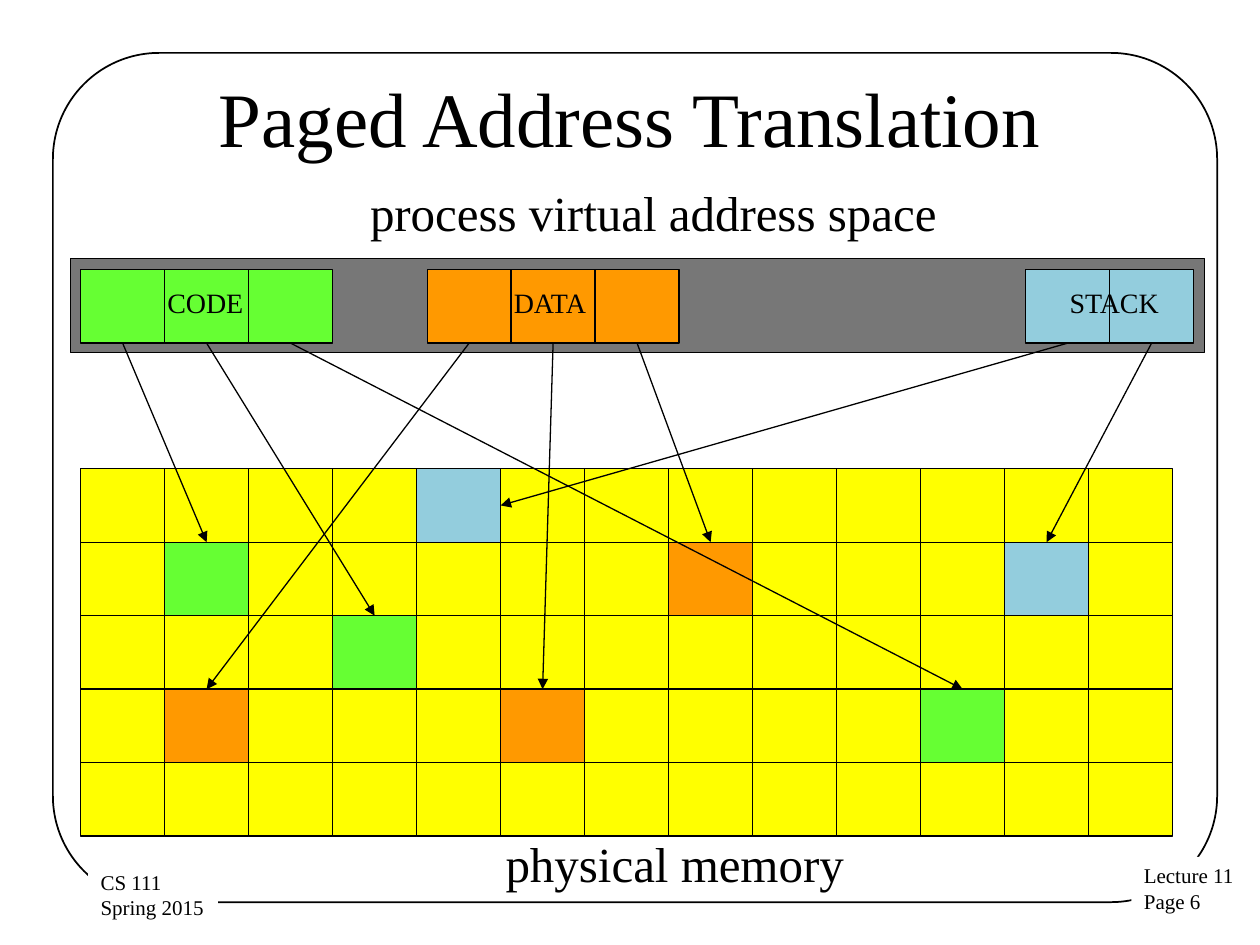
import pptx
import pptx.util
import pptx.dml.color
import pptx.enum.shapes
import pptx.enum.text
import lxml.etree
from pptx.oxml.ns import qn

Inches, Pt = pptx.util.Inches, pptx.util.Pt
RGBColor = pptx.dml.color.RGBColor
MSO_SHAPE = pptx.enum.shapes.MSO_SHAPE
ALIGN = pptx.enum.text.PP_ALIGN
ANCHOR = pptx.enum.text.MSO_ANCHOR

BLACK = RGBColor(0x00, 0x00, 0x00)
WHITE = RGBColor(0xFF, 0xFF, 0xFF)
GRAY = RGBColor(0x77, 0x77, 0x77)
GREEN = RGBColor(0x66, 0xFF, 0x33)
ORANGE = RGBColor(0xFF, 0x99, 0x00)
BLUE = RGBColor(0x93, 0xCD, 0xDD)
YELLOW = RGBColor(0xFF, 0xFF, 0x00)
FONT = "Times New Roman"

# Pages and frames share one size
PAGE_W, PAGE_H = 2 / 3, 7 / 12
ROWS, COLS = 5, 13

# Segment: label, colour, left offset in the space, label offset and width,
# and the (row, column, side) of the frame that each page maps to
SEGMENTS = [
    ("CODE", GREEN, 0.08, 0.59, 1.58,
     [(1, 1, "top"), (2, 3, "top"), (3, 10, "top")]),
    ("DATA", ORANGE, 2.83, 0.59, 1.33,
     [(3, 1, "top"), (3, 5, "top"), (1, 7, "top")]),
    ("STACK", BLUE, 7.58, 0.25, 1.17,
     [(0, 4, "right"), (1, 11, "top")]),
]


def write(tf, text, size=16, align=ALIGN.LEFT, wrap=True, anchor=ANCHOR.TOP):
    tf.word_wrap = wrap
    tf.vertical_anchor = anchor
    for i, line in enumerate(text.split("\n")):
        p = tf.paragraphs[0] if i == 0 else tf.add_paragraph()
        p.alignment = align
        r = p.add_run()
        r.text = line
        r.font.name = FONT
        r.font.size = Pt(size)
        r.font.color.rgb = BLACK


def add_text(slide, x, y, w, h, text, **fmt):
    tb = slide.shapes.add_textbox(Inches(x), Inches(y), Inches(w), Inches(h))
    write(tb.text_frame, text, **fmt)


def add_box(slide, x, y, w, h, fill=None, line=0.75, kind=MSO_SHAPE.RECTANGLE):
    sp = slide.shapes.add_shape(kind, Inches(x), Inches(y), Inches(w), Inches(h))
    sp.shadow.inherit = False
    if fill is None:
        sp.fill.background()
    else:
        sp.fill.solid()
        sp.fill.fore_color.rgb = fill
    if line:
        sp.line.color.rgb = BLACK
        sp.line.width = Pt(line)
    else:
        sp.line.fill.background()
    return sp


def add_arrow(slide, start, end):
    points = [Inches(v) for v in (*start, *end)]
    cxn = slide.shapes.add_connector(pptx.enum.shapes.MSO_CONNECTOR.STRAIGHT, *points)
    cxn.line.color.rgb = BLACK
    cxn.line.width = Pt(0.75)
    ln = cxn.line._get_or_add_ln()
    lxml.etree.SubElement(ln, qn("a:tailEnd"), type="triangle")
    lxml.etree.SubElement(cxn._element.spPr, qn("a:effectLst"))


def add_frame(slide, x, y, w, h):
    """Rounded border with the two footers that interrupt it."""
    sp = add_box(slide, x, y, w, h, line=1, kind=MSO_SHAPE.ROUNDED_RECTANGLE)
    sp.adjustments[0] = 0.125
    footers = [(8.56, 6.38, 0.92, "Lecture 11\nPage 6"),
               (0.28, 6.43, 1.03, "CS 111\nSpring 2015")]
    for dx, dy, width, text in footers:
        sp = add_box(slide, x + dx, y + dy, width, 0.51, fill=WHITE, line=0)
        write(sp.text_frame, text, size=12, wrap=False)


def add_title(slide, x, y, w, h):
    title = slide.shapes.title
    title.left, title.top = Inches(x), Inches(y)
    title.width, title.height = Inches(w), Inches(h)
    write(title.text_frame, "Paged Address Translation", size=44,
          align=ALIGN.CENTER, anchor=ANCHOR.MIDDLE)


def add_virtual_space(slide, x, y, w, h):
    add_box(slide, x, y, w, h, fill=GRAY)
    for label, color, dx, label_dx, label_w, targets in SEGMENTS:
        for i in range(len(targets)):
            add_box(slide, x + dx + i * PAGE_W, y + 0.09, PAGE_W, PAGE_H, fill=color)
        add_text(slide, x + dx + label_dx, y + 0.17, label_w, 0.37, label)


def add_physical_memory(slide, x, y):
    used = {(row, col): color for _, color, _, _, _, targets in SEGMENTS
            for row, col, _ in targets}
    for row in range(ROWS):
        for col in range(COLS):
            add_box(slide, x + col * PAGE_W, y + row * PAGE_H, PAGE_W, PAGE_H,
                    fill=used.get((row, col), YELLOW))


def add_mappings(slide, space_x, space_y, memory_x, memory_y):
    """Arrows from the foot of each page to its frame."""
    for _, _, dx, _, _, targets in SEGMENTS:
        for i, (row, col, side) in enumerate(targets):
            start = (space_x + dx + (i + 0.5) * PAGE_W, space_y + 0.09 + PAGE_H)
            across, down = (0.5, 0) if side == "top" else (1, 0.5)
            end = (memory_x + (col + across) * PAGE_W,
                   memory_y + (row + down) * PAGE_H)
            add_arrow(slide, start, end)


prs = pptx.Presentation()
prs.slide_width, prs.slide_height = Inches(10), Inches(7.5)
s = prs.slides.add_slide(prs.slide_layouts[5])

add_frame(s, 0.42, 0.42, 9.24, 6.74)
add_title(s, 0.5, 0.3, 9, 1.25)
add_virtual_space(s, 0.56, 2.05, 9, 0.75)
add_physical_memory(s, 0.64, 3.72)
add_text(s, 2.31, 1.4, 5.75, 0.57, "process virtual address space",
         size=28, align=ALIGN.CENTER)
add_text(s, 2.48, 6.57, 5.75, 0.57, "physical memory", size=28, align=ALIGN.CENTER)
add_mappings(s, 0.56, 2.05, 0.64, 3.72)

prs.save("out.pptx")
